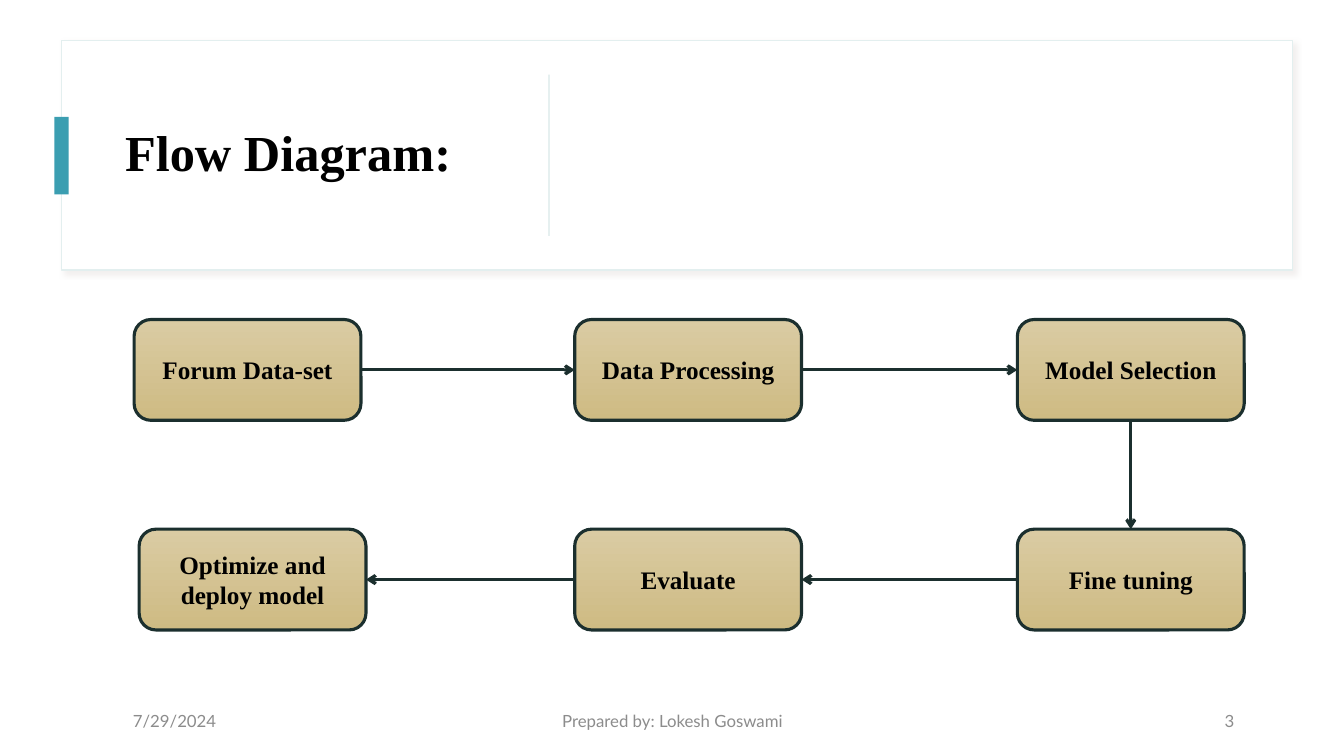
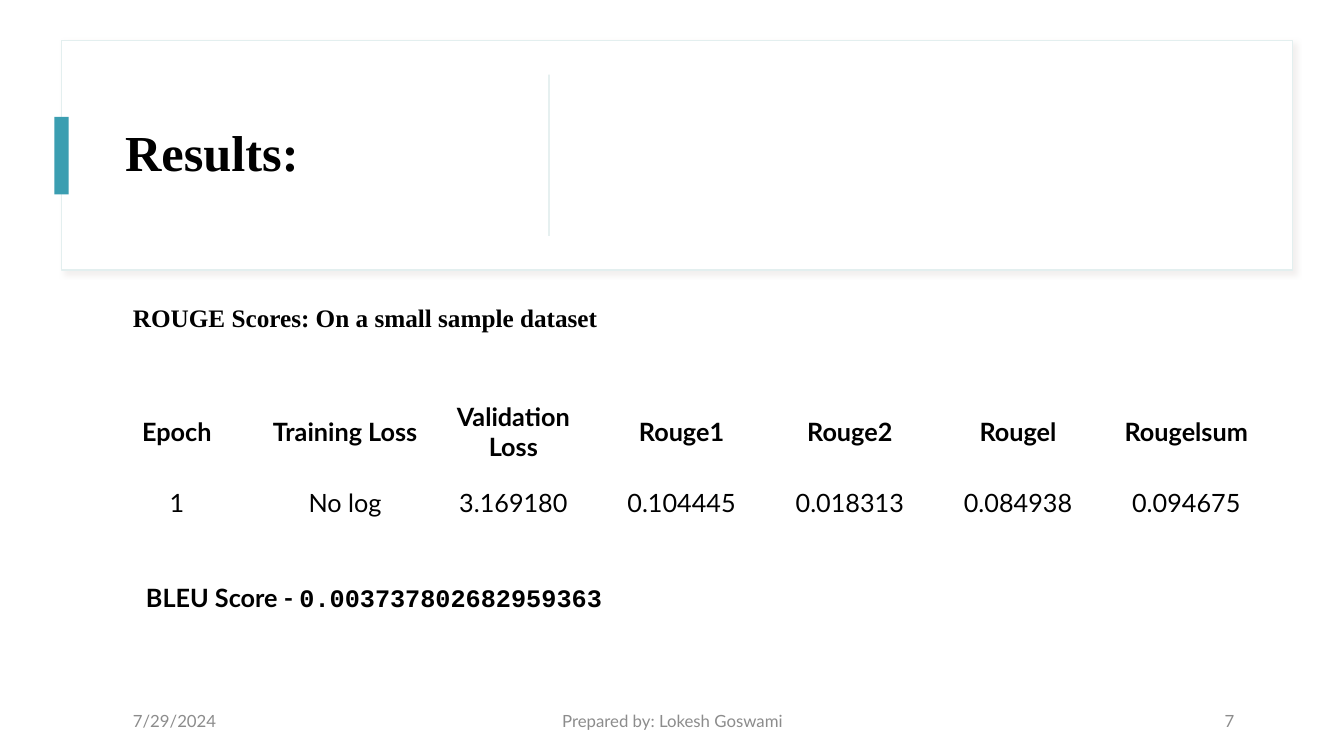
from lxml.etree import SubElement
from pptx import Presentation
from pptx.dml.color import RGBColor
from pptx.enum.shapes import MSO_CONNECTOR, MSO_SHAPE
from pptx.enum.text import MSO_ANCHOR, MSO_AUTO_SIZE, PP_ALIGN
from pptx.oxml.ns import qn
from pptx.util import Inches, Pt

HUES = {
    "text": "000000", "white": "FFFFFF", "edge": "E3EFEF", "shade": "D3CBC8",
    "accent": "3B9EB1", "rule": "BAD7D6", "dark": "1B2F2E",
    "light": "DACBA3", "gold": "CEBB83", "footer": "8C8C8C",
}
SERIF, SANS, MONO = "Times New Roman", "Lato", "Courier New"
LEFT, CENTER, RIGHT = PP_ALIGN.LEFT, PP_ALIGN.CENTER, PP_ALIGN.RIGHT

# Sites of a flow box where a connector can end
TOP, WEST, BOTTOM, EAST = range(4)


def hue(name):
    return RGBColor.from_string(HUES[name])


def add_run(para, text, size, font, bold=False, color="text"):
    run = para.add_run()
    run.text = text
    run.font.size = Pt(size)
    run.font.name = font
    run.font.bold = bold
    run.font.color.rgb = hue(color)


def add_text(slide, box, align=LEFT, anchor=MSO_ANCHOR.TOP):
    """Add a wrapping text box and return its first paragraph."""
    frame = slide.shapes.add_textbox(*map(Inches, box)).text_frame
    frame.word_wrap = True
    frame.vertical_anchor = anchor
    para = frame.paragraphs[0]
    para.alignment = align
    return para


def add_rect(slide, box, fill):
    rect = slide.shapes.add_shape(MSO_SHAPE.RECTANGLE, *map(Inches, box))
    rect.shadow.inherit = False
    rect.fill.solid()
    rect.fill.fore_color.rgb = hue(fill)
    rect.line.fill.background()
    return rect


def add_card(slide):
    """Add the title card with its soft shadow, behind the title."""
    card = add_rect(slide, (0.61, 0.4, 12.21, 2.28), "white")
    card.line.color.rgb = hue("edge")
    card.line.width = Pt(1)
    effects = card._element.spPr.find(qn("a:effectLst"))
    shadow = SubElement(effects, qn("a:outerShdw"), blurRad=str(Pt(4)),
                        dist=str(Pt(3)), dir="2700000", rotWithShape="0")
    color = SubElement(shadow, qn("a:srgbClr"), val=HUES["shade"])
    SubElement(color, qn("a:alpha"), val="30000")
    slide.shapes._spTree.insert(2, card._element)


def set_title(slide, text):
    title = slide.shapes.title
    title.left, title.top, title.width, title.height = map(
        Inches, (1.14, 0.64, 3.87, 1.8))
    frame = title.text_frame
    frame.auto_size = MSO_AUTO_SIZE.NONE
    frame.word_wrap = True
    frame.vertical_anchor = MSO_ANCHOR.MIDDLE
    para = frame.paragraphs[0]
    para.alignment = LEFT
    para.line_spacing = 0.9
    add_run(para, text, 36, SERIF, True)


def add_slide(deck, title, number):
    """Start a slide with the shared title card and footer."""
    slide = deck.slides.add_slide(deck.slide_layouts[5])
    add_card(slide)
    set_title(slide, title)
    add_rect(slide, (0.54, 1.16, 0.14, 0.77), "accent")
    add_rect(slide, (5.44, 0.74, 0.01, 1.6), "rule")
    for left, width, align, text in (
            (1.22, 3, LEFT, "7/29/2024"),
            (4.42, 4.5, CENTER, "Prepared by: Lokesh Goswami"),
            (9.34, 3, RIGHT, number)):
        para = add_text(slide, (left, 6.95, width, 0.4), align,
                        MSO_ANCHOR.MIDDLE)
        add_run(para, text, 12, SANS, color="footer")
    return slide


def add_step(slide, left, top, text):
    step = slide.shapes.add_shape(
        MSO_SHAPE.FLOWCHART_ALTERNATE_PROCESS,
        *map(Inches, (left, top, 2.25, 1)))
    step.shadow.inherit = False
    step.fill.gradient()
    step.fill.gradient_angle = 270
    for stop, place, name in zip(step.fill.gradient_stops, (0, 1),
                                 ("light", "gold")):
        stop.position = place
        stop.color.rgb = hue(name)
    step.line.color.rgb = hue("dark")
    step.line.width = Pt(2.25)
    frame = step.text_frame
    frame.word_wrap = True
    frame.vertical_anchor = MSO_ANCHOR.MIDDLE
    para = frame.paragraphs[0]
    para.alignment = CENTER
    add_run(para, text, 18, SERIF, True)
    return step


def add_arrow(slide, start, end, exit_site, entry_site):
    arrow = slide.shapes.add_connector(MSO_CONNECTOR.STRAIGHT, 0, 0, 0, 0)
    arrow.begin_connect(start, exit_site)
    arrow.end_connect(end, entry_site)
    arrow.line.color.rgb = hue("dark")
    arrow.line.width = Pt(2.25)
    SubElement(arrow.line._get_or_add_ln(), qn("a:tailEnd"), type="arrow")
    SubElement(arrow._element.spPr, qn("a:effectLst"))


def add_scores(slide, rows):
    shape = slide.shapes.add_table(
        len(rows), len(rows[0]), *map(Inches, (0.92, 3.83, 11.68, 1.41)))
    table = shape.table
    table.first_row = table.horz_banding = False
    for row, height in zip(table.rows, (0.9, 0.51)):
        row.height = Inches(height)
    for r, texts in enumerate(rows):
        for c, text in enumerate(texts):
            cell = table.cell(r, c)
            cell.fill.background()
            cell.vertical_anchor = MSO_ANCHOR.MIDDLE
            para = cell.text_frame.paragraphs[0]
            para.alignment = CENTER
            add_run(para, text, 18, SANS, r == 0)


def flow_slide(deck):
    slide = add_slide(deck, "Flow Diagram:", "3")
    # Steps run right along the top row and back along the bottom row
    steps = [add_step(slide, *spec) for spec in (
        (1.33, 3.17, "Forum Data-set"),
        (5.7, 3.17, "Data Processing"),
        (10.09, 3.17, "Model Selection"),
        (10.09, 5.25, "Fine tuning"),
        (5.7, 5.25, "Evaluate"),
        (1.38, 5.25, "Optimize and deploy model"))]
    sites = [(EAST, WEST)] * 2 + [(BOTTOM, TOP)] + [(WEST, EAST)] * 2
    for start, end, pair in zip(steps, steps[1:], sites):
        add_arrow(slide, start, end, *pair)


def score_slide(deck):
    slide = add_slide(deck, "Results:", "7")
    # Lead line
    para = add_text(slide, (1.22, 2.93, 11.12, 0.5))
    para.line_spacing = 1.07
    para.space_before, para.space_after = Pt(10), Pt(8)
    add_run(para, "ROUGE Scores: On a small sample dataset", 18, SERIF, True)
    # Score table
    add_scores(slide, (
        ("Epoch", "Training Loss", "Validation Loss", "Rouge1", "Rouge2",
         "Rougel", "Rougelsum"),
        ("1", "No log", "3.169180", "0.104445", "0.018313", "0.084938",
         "0.094675")))
    # Closing score
    para = add_text(slide, (1.35, 5.73, 6.13, 0.4))
    add_run(para, "BLEU Score - ", 18, SANS, True)
    add_run(para, "0.003737802682959363", 18, MONO, True)


def main():
    deck = Presentation()
    deck.slide_width, deck.slide_height = Inches(13.33), Inches(7.5)
    flow_slide(deck)
    score_slide(deck)
    deck.save("out.pptx")


if __name__ == "__main__":
    main()
